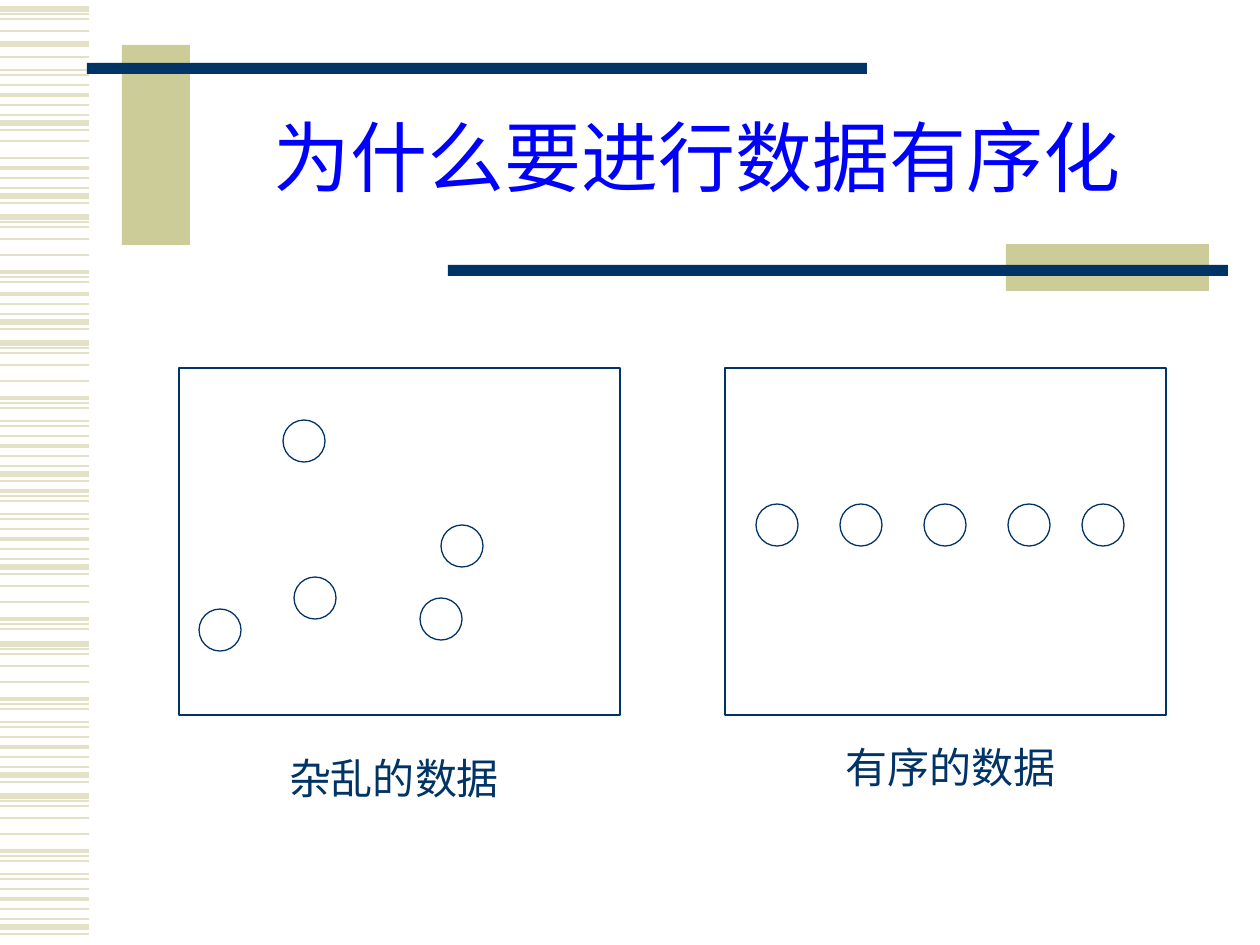
import pptx
import pptx.util
import pptx.dml.color
import pptx.enum.shapes
import pptx.enum.text

RGBColor = pptx.dml.color.RGBColor
SHAPE = pptx.enum.shapes.MSO_SHAPE
ANCHOR = pptx.enum.text.MSO_ANCHOR
NAVY = RGBColor(0x00, 0x33, 0x66)
KHAKI = RGBColor(0xCC, 0xCC, 0x99)
PALE = RGBColor(0xE3, 0xE2, 0xC7)
BLUE = RGBColor(0x00, 0x00, 0xFF)
FONT = "Times New Roman"
EMU_PER_PX = 914400 / 126
CIRCLE = 42

# Stripe motif: offset in pixels, line width in points
MOTIF = [(0, 3), (5, 0.74), (10, 0.99), (22, 0.99), (38, 0.99), (55, 2.24),
         (60, 0.74), (65, 1.5), (78, 0.74), (83, 1.5), (93, 0.99), (103, 2.24),
         (113, 1.5), (123, 0.74), (131, 3), (138, 1.5)]
# Motif start in pixels, first and last part shown
RUNS = [(9, 0, 4), (44, 0, 1), (-8, 7, 16), (103, 4, 5), (65, 10, 16),
        (217, 0, 8), (191, 11, 16), (343, 0, 16), (436, 5, 16),
        (564, 3, 8), (644, 0, 16), (796, 0, 16)]


def px(n):
    return round(n * EMU_PER_PX)


def add_shape(shapes, kind, x, y, w, h, fill=None, line=None):
    sp = shapes.add_shape(kind, px(x), px(y), px(w), px(h))
    sp.shadow.inherit = False
    if fill is None:
        sp.fill.background()
    else:
        sp.fill.solid()
        sp.fill.fore_color.rgb = fill
    if line is None:
        sp.line.fill.background()
    else:
        sp.line.color.rgb = line
        sp.line.width = pptx.util.Pt(0.74)
    return sp


def set_text(sp, text, size, color, anchor=ANCHOR.TOP, before=0, spacing=1.0):
    tf = sp.text_frame
    tf.word_wrap = True
    tf.auto_size = pptx.enum.text.MSO_AUTO_SIZE.NONE
    tf.vertical_anchor = anchor
    p = tf.paragraphs[0]
    p.alignment = pptx.enum.text.PP_ALIGN.CENTER
    p.space_before = pptx.util.Pt(before)
    p.line_spacing = spacing
    r = p.add_run()
    r.text = text
    r.font.name = FONT
    r.font.size = pptx.util.Pt(size)
    r.font.color.rgb = color


def add_stripes(s, x, y, w):
    shapes = s.shapes.add_group_shape().shapes
    for start, first, last in RUNS:
        for offset, width in MOTIF[first:last]:
            top = px(y + start + offset)
            line = shapes.add_connector(pptx.enum.shapes.MSO_CONNECTOR.STRAIGHT,
                                        px(x), top, px(x + w), top)
            line.line.color.rgb = PALE
            line.line.width = pptx.util.Pt(width)
            sppr = line._element.spPr
            sppr.append(sppr.makeelement(pptx.oxml.ns.qn("a:effectLst"), {}))


def add_header(s, x, y, title):
    # Crossing bars
    shapes = s.shapes.add_group_shape().shapes
    for dx, dy, w, h, color in [(35, 0, 68, 200, KHAKI), (0, 18, 780, 11, NAVY),
                                (919, 199, 203, 47, KHAKI), (361, 220, 780, 11, NAVY)]:
        add_shape(shapes, SHAPE.RECTANGLE, x + dx, y + dy, w, h, fill=color)
    # Title
    sp = s.shapes.title
    sp.left, sp.top = px(x + 102), px(y + 39)
    sp.width, sp.height = px(1017), px(158)
    set_text(sp, title, 44, BLUE, anchor=ANCHOR.MIDDLE, spacing=0.85)


def add_panel(s, x, y, circles, caption, caption_at):
    shapes = s.shapes.add_group_shape().shapes
    add_shape(shapes, SHAPE.RECTANGLE, x, y, 441, 347, line=NAVY)
    for dx, dy in circles:
        add_shape(shapes, SHAPE.OVAL, x + dx, y + dy, CIRCLE, CIRCLE, line=NAVY)
    dx, dy = caption_at
    tb = shapes.add_textbox(px(x + dx), px(y + dy), px(410), px(63))
    set_text(tb, caption, 24, NAVY, before=15)


prs = pptx.Presentation()
prs.slide_width, prs.slide_height = px(1260), px(945)
s = prs.slides.add_slide(prs.slide_layouts[5])

add_stripes(s, 0, 0, 89)
add_header(s, 87, 45, "为什么要进行数据有序化")

# Scattered circles against a single row
scattered = [(20, 241), (104, 52), (115, 209), (241, 230), (262, 157)]
in_row = [(dx, 136) for dx in (31, 115, 199, 283, 357)]
add_panel(s, 179, 368, scattered, "杂乱的数据", (10, 378))
add_panel(s, 725, 368, in_row, "有序的数据", (21, 367))

prs.save("out.pptx")
